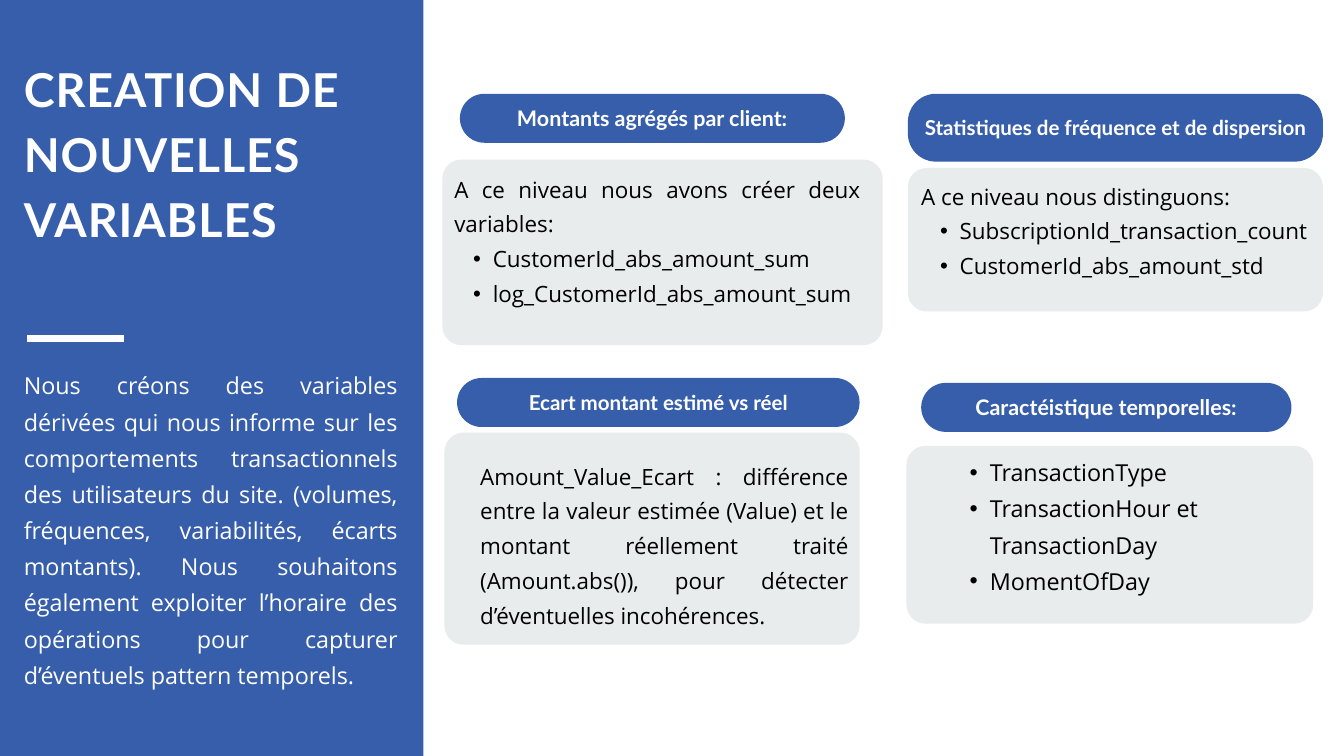
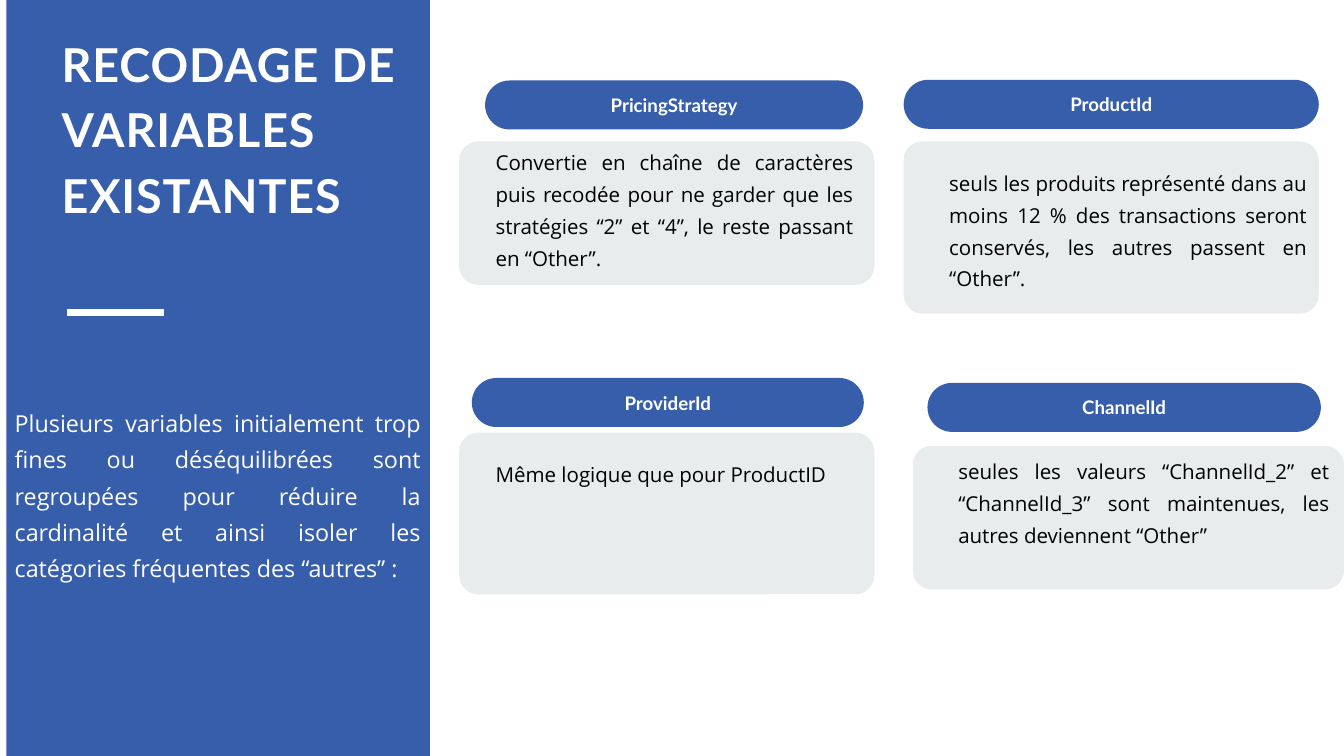
from dataclasses import dataclass

from lxml.etree import SubElement
from pptx import Presentation
from pptx.dml.color import RGBColor
from pptx.enum.shapes import MSO_CONNECTOR as Connector, MSO_SHAPE as Shape
from pptx.enum.text import MSO_ANCHOR as Anchor, MSO_AUTO_SIZE as AutoSize, PP_ALIGN as Align
from pptx.oxml.ns import qn
from pptx.util import Pt

SCALE = 9525
PAGE_W, PAGE_H = 1920, 1080
PANEL_W, RULE_W, PILL_H = 605, 138, 70
PILL_RADIUS, CARD_RADIUS, PILL_INSET = 40, 27, 6
BLUE, GREY, WHITE, BLACK = "375EAA", "E8ECEC", "FFFFFF", "000000"
HEAD_FONT, BODY_FONT = "Lato", "Open Sans"
TITLE_LEADING, HEAD_LEADING, BODY_LEADING = 1.4, 1.4, 1.55


@dataclass
class Line:
    """One paragraph of a text."""
    text: str
    bullet: bool = False
    align: Align = Align.JUSTIFY


@dataclass
class Topic:
    """A heading pill, the card below it and the text placed inside the card."""
    heading: str
    heading_size: int
    pill: tuple
    card: tuple
    inner: tuple
    size: int
    lines: list


@dataclass
class Panel:
    """The blue side panel; its parts are placed from its left edge."""
    left: int
    title: str
    title_box: tuple
    rule: tuple
    body: str
    body_box: tuple


def px(*lengths):
    """Turn pixel lengths into EMU."""
    return [length * SCALE for length in lengths]


def colour(value):
    """Turn a hex string into a colour."""
    return RGBColor.from_string(value)


def within(outer, inner):
    """Move an inner box by the corner of the outer one."""
    return (outer[0] + inner[0], outer[1] + inner[1], *inner[2:])


def add_block(page, kind, box, fill, radius=0):
    """Add a plain filled shape, with rounded corners if a radius is given."""
    block = page.shapes.add_shape(kind, *px(*box))
    block.shadow.inherit = False
    block.fill.solid()
    block.fill.fore_color.rgb = colour(fill)
    block.line.fill.background()
    if radius:
        block.adjustments[0] = min(0.5, radius / box[3])
    return block


def add_bullet(para, size):
    """Give a paragraph a hanging round bullet."""
    para.level = 1
    props = para._p.get_or_add_pPr()
    left, hang = px(round(size * 2.3), round(size * 1.15))
    props.set("marL", str(left))
    props.set("indent", str(-hang))
    SubElement(props, qn("a:buFont"), typeface="Arial")
    SubElement(props, qn("a:buChar"), char="•")


def write(para, text, font, size, leading, ink, align, bold=False):
    """Set up a paragraph and add its run."""
    para.alignment = align
    para.line_spacing = Pt(round(size * leading, 1))
    span = para.add_run()
    span.text = text
    span.font.name = font
    span.font.size = Pt(size)
    span.font.bold = bold
    span.font.color.rgb = colour(ink)
    return span


def add_text(page, box):
    """Add a wrapping text box without insets and return its frame."""
    frame = page.shapes.add_textbox(*px(*box)).text_frame
    frame.word_wrap = True
    frame.auto_size = AutoSize.SHAPE_TO_FIT_TEXT
    frame.margin_left = frame.margin_top = frame.margin_right = frame.margin_bottom = 0
    return frame


def add_body(page, box, lines, size, ink):
    """Add body paragraphs, bulleted where asked."""
    frame = add_text(page, box)
    for index, line in enumerate(lines):
        para = frame.add_paragraph() if index else frame.paragraphs[0]
        if line.bullet:
            add_bullet(para, size)
        write(para, line.text, BODY_FONT, size, BODY_LEADING, ink, line.align)


def add_panel(page, panel):
    """Draw the side panel with title, rule and introduction."""
    box = (panel.left, 0, PANEL_W, PAGE_H)
    add_block(page, Shape.RECTANGLE, box, BLUE)
    x, y = panel.left + panel.rule[0], panel.rule[1]
    rule = page.shapes.add_connector(Connector.STRAIGHT, *px(x, y, x + RULE_W, y))
    rule.line.color.rgb = colour(WHITE)
    rule.line.width = Pt(7.5)
    SubElement(rule._element.spPr, qn("a:effectLst"))
    para = add_text(page, within(box, panel.title_box)).paragraphs[0]
    span = write(para, panel.title, HEAD_FONT, 50, TITLE_LEADING, WHITE, Align.LEFT, True)
    span.font._element.set("spc", "100")
    add_body(page, within(box, panel.body_box), [Line(panel.body)], 25, WHITE)


def add_topic(page, topic):
    """Draw a heading pill and its card with text."""
    pill = add_block(page, Shape.ROUNDED_RECTANGLE, topic.pill, BLUE, PILL_RADIUS)
    frame = pill.text_frame
    frame.word_wrap = True
    frame.vertical_anchor = Anchor.MIDDLE
    frame.margin_left, frame.margin_right, frame.margin_top = px(*[PILL_INSET] * 3)
    frame.margin_bottom = px(PILL_INSET + topic.heading_size - 15)[0]
    write(frame.paragraphs[0], topic.heading, HEAD_FONT, topic.heading_size,
          HEAD_LEADING, WHITE, Align.CENTER, True)
    add_block(page, Shape.ROUNDED_RECTANGLE, topic.card, GREY, CARD_RADIUS)
    add_body(page, within(topic.card, topic.inner), topic.lines, topic.size, BLACK)


def add_page(deck, panel, topics):
    """Add a page with its side panel and topics."""
    page = deck.slides.add_slide(deck.slide_layouts[6])
    add_panel(page, panel)
    for topic in topics:
        add_topic(page, topic)


CREATION = Panel(
    0, "CREATION DE NOUVELLES VARIABLES", (34, 73, 512, 276), (39, 483),
    "Nous créons des variables dérivées qui nous informe sur les comportements "
    "transactionnels des utilisateurs du site. (volumes, fréquences, variabilités, "
    "écarts montants). Nous souhaitons également exploiter l’horaire des opérations "
    "pour capturer d’éventuels pattern temporels.", (34, 519, 534, 507))

CREATION_TOPICS = [
    Topic("Montants agrégés par client:", 23, (657, 134, 550, PILL_H),
          (632, 228, 629, 265), (17, 12, 580, 193), 24,
          [Line("A ce niveau nous avons créer deux variables:"),
           Line("CustomerId_abs_amount_sum", True),
           Line("log_CustomerId_abs_amount_sum", True)]),
    Topic("Ecart montant estimé vs réel", 22, (653, 540, 575, PILL_H),
          (635, 618, 593, 303), (51, 32, 526, 242), 24,
          [Line("Amount_Value_Ecart : différence entre la valeur estimée (Value) et le "
                "montant réellement traité (Amount.abs()), pour détecter d’éventuelles "
                "incohérences.")]),
    Topic("Statistiques de fréquence et de dispersion", 22, (1297, 134, 593, 97),
          (1297, 240, 593, 205), (19, 10, 561, 144), 24,
          [Line("A ce niveau nous distinguons:"),
           Line("SubscriptionId_transaction_count", True),
           Line("CustomerId_abs_amount_std", True)]),
    Topic("Caractéistique temporelles:", 23, (1316, 547, 529, PILL_H),
          (1295, 637, 581, 254), (62, 6, 499, 202), 25,
          [Line("TransactionType", True),
           Line("TransactionHour et TransactionDay", True, Align.LEFT),
           Line("MomentOfDay", True)]),
]

RECODING = Panel(
    9, "RECODAGE DE VARIABLES EXISTANTES", (79, 38, 480, 369), (87, 447),
    "Plusieurs variables initialement trop fines ou déséquilibrées sont regroupées "
    "pour réduire la cardinalité et ainsi isoler les catégories fréquentes des "
    "“autres” :", (12, 573, 580, 252))

RECODING_TOPICS = [
    Topic("PricingStrategy", 20, (693, 115, 540, PILL_H),
          (656, 202, 593, 205), (52, 2, 511, 221), 22,
          [Line("Convertie en chaîne de caractères puis recodée pour ne garder que les "
                "stratégies “2” et “4”, le reste passant en “Other”.")]),
    Topic("ProviderId", 20, (674, 540, 560, PILL_H),
          (656, 618, 593, 231), (52, 32, 526, 43), 22,
          [Line("Même logique que pour ProductID")]),
    Topic("ProductId", 20, (1291, 114, 593, PILL_H),
          (1291, 202, 593, 246), (65, 32, 511, 178), 22,
          [Line("seuls les produits représenté dans au moins 12 % des transactions seront "
                "conservés, les autres passent en “Other”.")]),
    Topic("ChannelId", 20, (1325, 547, 562, PILL_H),
          (1304, 637, 616, 205), (65, 9, 530, 131), 22,
          [Line("seules les valeurs “ChannelId_2” et “ChannelId_3” sont maintenues, les "
                "autres deviennent “Other”")]),
]


def main():
    """Build and save the deck."""
    deck = Presentation()
    deck.slide_width, deck.slide_height = px(PAGE_W, PAGE_H)
    add_page(deck, CREATION, CREATION_TOPICS)
    add_page(deck, RECODING, RECODING_TOPICS)
    deck.save("out.pptx")


if __name__ == "__main__":
    main()
